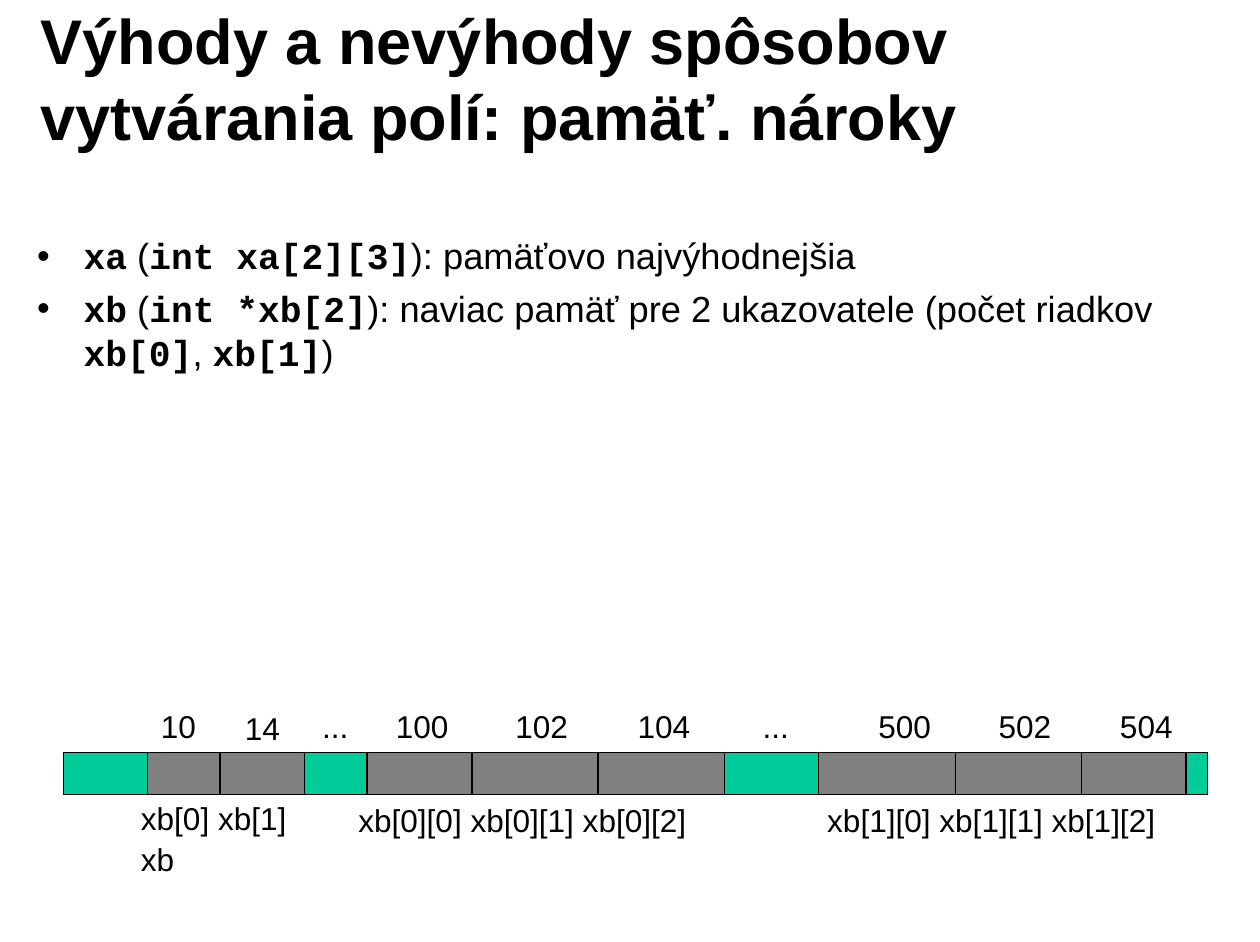
from lxml.etree import SubElement
from pptx import Presentation
from pptx.dml.color import RGBColor
from pptx.enum.shapes import MSO_CONNECTOR as CONNECTOR, MSO_SHAPE as SHAPE
from pptx.enum.text import MSO_ANCHOR as ANCHOR
from pptx.oxml.ns import qn
from pptx.util import Pt

BLACK, GRAY, GREEN = "000000", "808080", "00CC99"
TEXT, CODE = "Arial", "Courier New"
BAR_HEIGHT = 26.6
LABEL_HEIGHT = 31.7

FREE_CELLS = [(0, 53.3), (152.8, 39.8), (419.3, 59.5), (712.1, 13.7)]
USED_SPAN = (53.3, 666)
DIVIDERS = [99.4, 259.2, 339.1, 565.9, 645.8]
LABELS = [
    ("10", 54.7, -32.4, 40), ("14", 108, -31.4, 40),
    ("...", 157, -32.4, 34), ("100", 203.8, -32.4, 51),
    ("102", 279.6, -32.4, 51), ("104", 357.1, -32.4, 51),
    ("...", 436.5, -32.4, 34), ("500", 509.8, -32.4, 51),
    ("502", 586.1, -32.4, 51), ("504", 663.1, -32.4, 51),
    ("xb[0] xb[1]", 42.1, 26.2, 110), ("xb", 42, 51.8, 40),
    ("xb[0][0] xb[0][1] xb[0][2]", 180, 27.4, 226),
    ("xb[1][0] xb[1][1] xb[1][2]", 477.4, 27.4, 226),
]
BULLETS = [
    [("xa", CODE), (" (", TEXT), ("int xa[2][3]", CODE),
     ("): pamäťovo najvýhodnejšia", TEXT)],
    [("xb", CODE), (" (", TEXT), ("int *xb[2]", CODE),
     ("): naviac pamäť pre 2 ukazovatele (počet riadkov ", TEXT),
     ("xb[0]", CODE), (", ", TEXT), ("xb[1]", CODE), (")", TEXT)],
]


def color(value):
    return RGBColor.from_string(value)


def add_text_frame(shapes, box, margins):
    frame = shapes.add_textbox(*map(Pt, box)).text_frame
    frame.word_wrap = True
    frame.margin_left = frame.margin_right = Pt(margins[0])
    frame.margin_top = frame.margin_bottom = Pt(margins[1])
    return frame


def add_run(paragraph, text, size, name=TEXT, bold=False):
    run = paragraph.add_run()
    run.text = text
    run.font.name = name
    run.font.size = Pt(size)
    run.font.bold = bold
    run.font.color.rgb = color(BLACK)


def add_title(slide, box):
    frame = add_text_frame(slide.shapes, box, (7.9, 4.3))
    frame.vertical_anchor = ANCHOR.MIDDLE
    add_run(frame.paragraphs[0], "Výhody a nevýhody spôsobov vytvárania polí: pamäť. nároky",
            40, bold=True)


def set_bullet(paragraph, indent):
    properties = paragraph._p.get_or_add_pPr()
    properties.set("marL", str(Pt(indent)))
    properties.set("indent", str(-Pt(indent)))
    bullet_color = SubElement(properties, qn("a:buClr"))
    SubElement(bullet_color, qn("a:srgbClr")).set("val", BLACK)
    SubElement(properties, qn("a:buFont")).set("typeface", TEXT)
    SubElement(properties, qn("a:buChar")).set("char", "•")


def add_bullets(slide, box):
    frame = add_text_frame(slide.shapes, box, (7.9, 4.3))
    for index, runs in enumerate(BULLETS):
        paragraph = frame.add_paragraph() if index else frame.paragraphs[0]
        set_bullet(paragraph, 29.5)
        if index:
            paragraph.space_before = Pt(5.8)
        for text, name in runs:
            add_run(paragraph, text, 23, name, name == CODE)


def add_cell(shapes, left, top, width, fill):
    cell = shapes.add_shape(SHAPE.RECTANGLE, Pt(left), Pt(top), Pt(width), Pt(BAR_HEIGHT))
    cell.shadow.inherit = False
    cell.fill.solid()
    cell.fill.fore_color.rgb = color(fill)
    cell.line.color.rgb = color(BLACK)
    cell.line.width = Pt(0.75)


def add_divider(shapes, x, top):
    line = shapes.add_connector(CONNECTOR.STRAIGHT, Pt(x), Pt(top), Pt(x), Pt(top + BAR_HEIGHT))
    line.line.color.rgb = color(BLACK)
    line.line.width = Pt(0.75)
    SubElement(line._element.spPr, qn("a:effectLst"))


def add_memory(slide, left, top):
    shapes = slide.shapes.add_group_shape().shapes
    start, width = USED_SPAN
    add_cell(shapes, left + start, top, width, GRAY)
    for x in DIVIDERS:
        add_divider(shapes, left + x, top)
    for x, width in FREE_CELLS:
        add_cell(shapes, left + x, top, width, GREEN)
    for text, x, y, width in LABELS:
        box = (left + x, top + y, width, LABEL_HEIGHT)
        frame = add_text_frame(shapes, box, (7.2, 3.6))
        add_run(frame.paragraphs[0], text, 20)


def main():
    presentation = Presentation()
    presentation.slide_width = Pt(799.2)
    presentation.slide_height = Pt(597.6)
    slide = presentation.slides.add_slide(presentation.slide_layouts[6])
    add_title(slide, (18, 12.2, 641.5, 73.4))
    add_bullets(slide, (15.6, 144, 767.5, 165.6))
    add_memory(slide, 40.2, 477.4)
    presentation.save("out.pptx")


if __name__ == "__main__":
    main()
